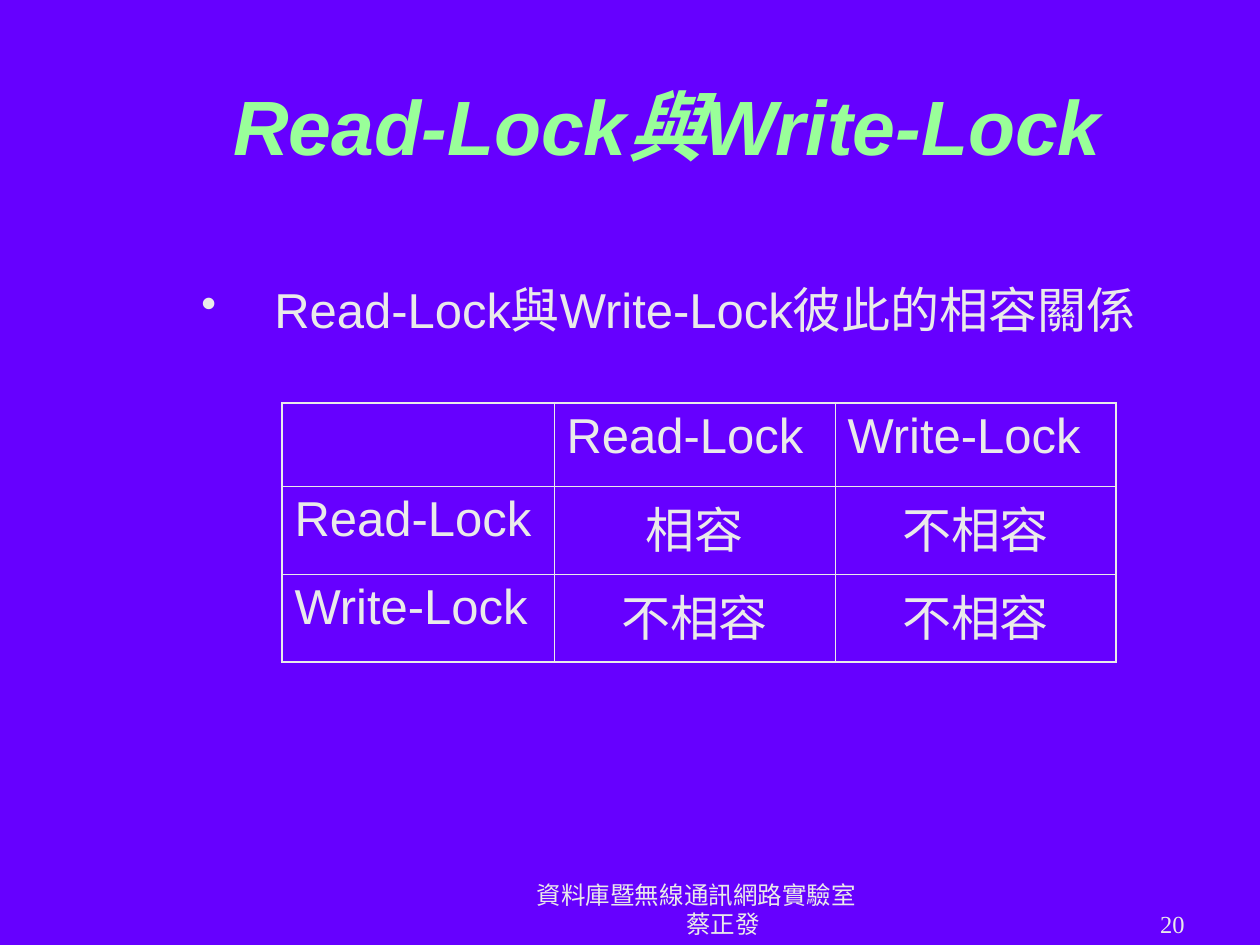
from dataclasses import dataclass

from lxml.etree import SubElement
from pptx import Presentation
from pptx.dml.color import RGBColor
from pptx.enum.text import MSO_ANCHOR as Anchor, PP_ALIGN as Align
from pptx.oxml.ns import qn
from pptx.util import Emu, Pt

EMU_PER_PX = 914400 // 126


@dataclass(frozen=True)
class Theme:
    background: str = "6600FF"
    title: str = "99FF99"
    text: str = "EAEAEA"
    sans: str = "Arial"
    serif: str = "Times New Roman"
    title_size: int = 44
    body_size: int = 28
    footer_size: int = 14
    outer_border: float = 1.08
    inner_border: float = 0.45


THEME = Theme()


@dataclass(frozen=True)
class TextBlock:
    """Box, margin and first-line indent are in px."""
    text: str
    box: tuple[int, int, int, int]
    size: int
    font: str = THEME.sans
    color: str = THEME.text
    emphasis: bool = False
    align: Align = Align.LEFT
    anchor: Anchor = Anchor.TOP
    margin: int = 0
    indent: int = 0
    bullet: str = ""


TEXT_BLOCKS = [
    TextBlock("Read-Lock與Write-Lock", (73, 42, 1124, 166), THEME.title_size,
              color=THEME.title, emphasis=True, anchor=Anchor.MIDDLE, margin=148),
    TextBlock("Read-Lock與Write-Lock彼此的相容關係", (189, 273, 1008, 636),
              THEME.body_size, margin=73, indent=-73, bullet="•"),
    TextBlock("資料庫暨無線通訊網路實驗室\v蔡正發", (494, 882, 399, 63),
              THEME.footer_size, THEME.serif, align=Align.CENTER,
              anchor=Anchor.BOTTOM, margin=59, indent=-53),
    TextBlock("20", (935, 882, 262, 63), THEME.footer_size, THEME.serif,
              align=Align.RIGHT, anchor=Anchor.BOTTOM, margin=30),
]

LOCK_TABLE = [
    ["", "Read-Lock", "Write-Lock"],
    ["Read-Lock", "相容", "不相容"],
    ["Write-Lock", "不相容", "不相容"],
]
TABLE_ORIGIN = (282, 403)
COLUMN_WIDTHS = [272, 281, 281]
ROW_HEIGHTS = [83, 88, 88]


def px(length: int) -> Emu:
    return Emu(length * EMU_PER_PX)


def style_runs(paragraph, size: int, font: str, color: str, emphasis: bool = False) -> None:
    for run in paragraph.runs:
        run.font.size = Pt(size)
        run.font.name = font
        run.font.color.rgb = RGBColor.from_string(color)
        run.font.bold = run.font.italic = emphasis


def add_bullet(paragraph, character: str) -> None:
    properties = paragraph._p.get_or_add_pPr()
    color = SubElement(properties, qn("a:buClr"))
    SubElement(color, qn("a:srgbClr"), val=THEME.text)
    SubElement(properties, qn("a:buSzPct"), val="90000")
    SubElement(properties, qn("a:buChar"), char=character)


def add_text(slide, block: TextBlock) -> None:
    text_frame = slide.shapes.add_textbox(*map(px, block.box)).text_frame
    text_frame.word_wrap = True
    text_frame.vertical_anchor = block.anchor
    text_frame.text = block.text
    paragraph = text_frame.paragraphs[0]
    paragraph.alignment = block.align
    properties = paragraph._p.get_or_add_pPr()
    properties.set("marL", str(px(block.margin)))
    properties.set("indent", str(px(block.indent)))
    if block.bullet:
        add_bullet(paragraph, block.bullet)
    style_runs(paragraph, block.size, block.font, block.color, block.emphasis)


def set_borders(cell, outer_sides: dict[str, bool]) -> None:
    """Draw the sides on the table's edge thicker than the inner ones."""
    properties = cell._tc.get_or_add_tcPr()
    for side, is_outer in outer_sides.items():
        width = THEME.outer_border if is_outer else THEME.inner_border
        line = SubElement(properties, qn(f"a:ln{side}"), w=str(Pt(width)))
        fill = SubElement(line, qn("a:solidFill"))
        SubElement(fill, qn("a:srgbClr"), val=THEME.text)


def add_lock_table(slide) -> None:
    last_row, last_column = len(ROW_HEIGHTS) - 1, len(COLUMN_WIDTHS) - 1
    table = slide.shapes.add_table(
        len(ROW_HEIGHTS), len(COLUMN_WIDTHS), *map(px, TABLE_ORIGIN),
        px(sum(COLUMN_WIDTHS)), px(sum(ROW_HEIGHTS))).table
    for column, width in zip(table.columns, COLUMN_WIDTHS):
        column.width = px(width)
    for row, height in zip(table.rows, ROW_HEIGHTS):
        row.height = px(height)
    for i, labels in enumerate(LOCK_TABLE):
        for j, label in enumerate(labels):
            cell = table.cell(i, j)
            set_borders(cell, {"L": j == 0, "R": j == last_column,
                               "T": i == 0, "B": i == last_row})
            cell.fill.background()
            cell.text_frame.text = label
            paragraph = cell.text_frame.paragraphs[0]
            paragraph.alignment = Align.CENTER if i and j else Align.LEFT
            style_runs(paragraph, THEME.body_size, THEME.sans, THEME.text)


def main() -> None:
    presentation = Presentation()
    presentation.slide_width, presentation.slide_height = px(1260), px(945)
    slide = presentation.slides.add_slide(presentation.slide_layouts[6])
    slide.background.fill.solid()
    slide.background.fill.fore_color.rgb = RGBColor.from_string(THEME.background)
    title, body, *footers = TEXT_BLOCKS
    add_text(slide, title)
    add_text(slide, body)
    add_lock_table(slide)
    for footer in footers:
        add_text(slide, footer)
    presentation.save("out.pptx")


if __name__ == "__main__":
    main()
